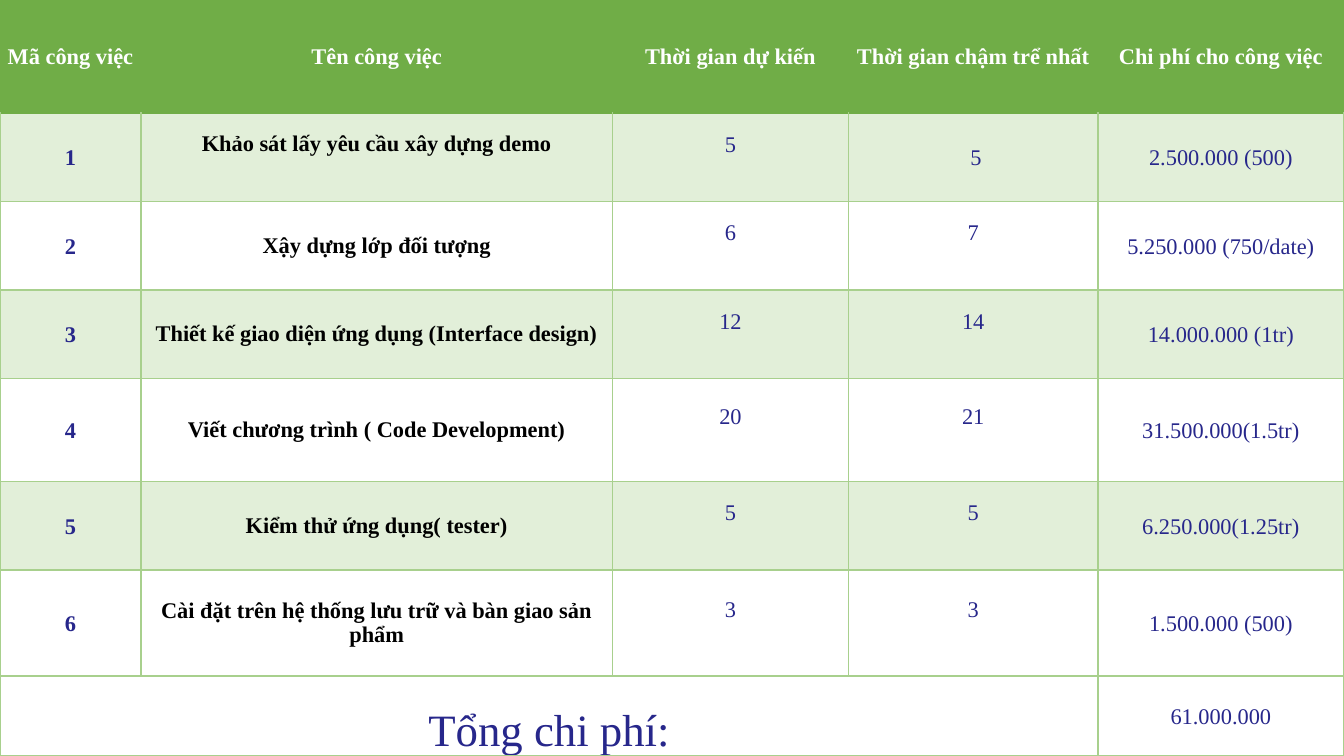
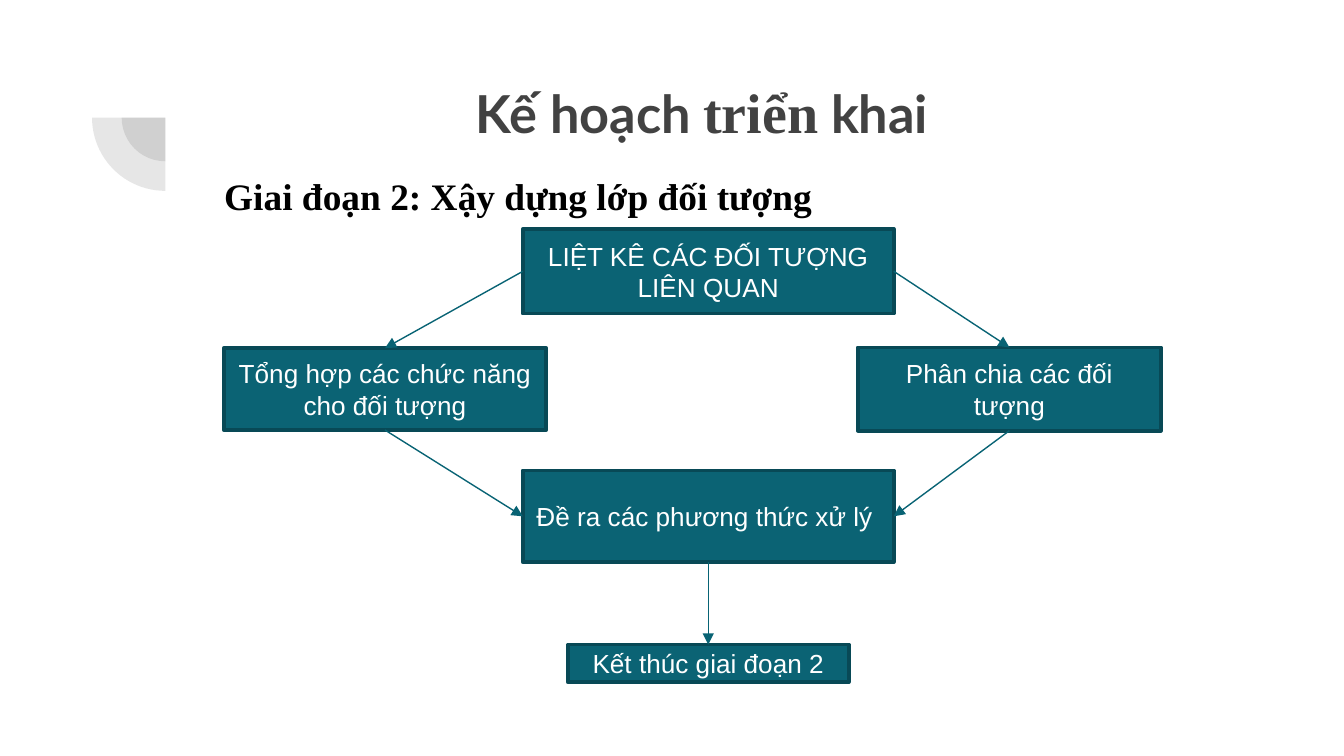
"""Build two project-plan slides: the cost table and the flow of stage 2."""

from dataclasses import dataclass

from lxml.etree import SubElement
from pptx import Presentation
from pptx.dml.color import RGBColor
from pptx.enum.shapes import MSO_CONNECTOR, MSO_SHAPE
from pptx.enum.text import MSO_ANCHOR, MSO_AUTO_SIZE, PP_ALIGN
from pptx.oxml import parse_xml
from pptx.oxml.ns import nsdecls, qn
from pptx.util import Inches, Pt


@dataclass(frozen=True)
class Theme:
    serif: str = "Times New Roman"
    sans: str = "Arial"
    heading: str = "Lato"
    gray: str = "424242"
    black: str = "000000"
    white: str = "FFFFFF"
    navy: str = "27278B"
    green: str = "70AD47"
    pale_green: str = "E2EFD9"
    border_green: str = "A8D08D"
    teal: str = "0B6374"
    dark_teal: str = "084956"
    arrow_teal: str = "086374"
    title_size: int = 28
    title_accent_size: int = 30
    total_size: int = 24
    subtitle_size: int = 20
    box_size: int = 14
    table_size: int = 12


theme = Theme()


def add_text(para, text, *, size, font, color, bold=False,
             align=PP_ALIGN.CENTER, spacing=None):
    para.alignment = align
    if spacing:
        para.line_spacing = spacing
    span = para.add_run()
    span.text = text
    span.font.size = Pt(size)
    span.font.name = font
    span.font.bold = bold
    span.font.color.rgb = RGBColor.from_string(color)


deck = Presentation()
deck.slide_width = Inches(10)
deck.slide_height = deck.slide_width * 9 // 16
unit = deck.slide_width / 100


def on_grid(*cells):
    return [round(cell * unit) for cell in cells]


pages = [deck.slides.add_slide(deck.slide_layouts[6]) for number in range(2)]
table_page, flow_page = pages

for page in pages:
    for radius in (3.25, 5.45):
        wedge = page.shapes.add_shape(
            MSO_SHAPE.PIE,
            *on_grid(12.3 - radius, 8.75 - radius, 2 * radius, 2 * radius))
        wedge.rotation = 270
        wedge.adjustments[0] = 108
        wedge.adjustments[1] = 162
        wedge.shadow.inherit = False
        wedge.line.fill.background()
        wedge.fill.solid()
        wedge.fill.fore_color.rgb = RGBColor.from_string(theme.gray)
        tint = wedge.fill._xPr.find(".//" + qn("a:srgbClr"))
        SubElement(tint, qn("a:alpha"), val="13000")

column_widths = (10.5, 35.07, 17.57, 18.56, 18.3)
row_heights = (8.4, 6.6, 6.58, 6.58, 7.68, 6.58, 7.88, 5.9)
rows = [
    ("Mã công việc", "Tên công việc", "Thời gian dự kiến",
     "Thời gian chậm trể nhất", "Chi phí cho công việc"),
    ("1", "Khảo sát lấy yêu cầu xây dựng demo", "5", "5", "2.500.000 (500)"),
    ("2", "Xậy dựng lớp đối tượng", "6", "7", "5.250.000 (750/date)"),
    ("3", "Thiết kế giao diện ứng dụng (Interface design)", "12", "14",
     "14.000.000 (1tr)"),
    ("4", "Viết chương trình ( Code Development)", "20", "21",
     "31.500.000(1.5tr)"),
    ("5", "Kiểm thử ứng dụng( tester)", "5", "5", "6.250.000(1.25tr)"),
    ("6", "Cài đặt trên hệ thống lưu trữ và bàn giao sản phẩm", "3", "3",
     "1.500.000 (500)"),
    ("Tổng chi phí:", "", "", "", "61.000.000"),
]
total_row = len(rows) - 1
raised_cells = {(row, 2) for row in range(1, total_row)}
raised_cells |= {(row, 3) for row in range(2, total_row)} | {(1, 1)}

table = table_page.shapes.add_table(
    len(rows), len(column_widths),
    *on_grid(0, 0, sum(column_widths), sum(row_heights))).table
table.first_row = False
table.horz_banding = False
for column, width in zip(table.columns, on_grid(*column_widths)):
    column.width = width
for row, height in zip(table.rows, on_grid(*row_heights)):
    row.height = height
table.cell(total_row, 0).merge(table.cell(total_row, 3))

for row_index, texts in enumerate(rows):
    header = row_index == 0
    for column_index, text in enumerate(texts):
        cell = table.cell(row_index, column_index)
        cell.vertical_anchor = MSO_ANCHOR.MIDDLE
        cell.margin_left = cell.margin_right = Inches(0.04)
        cell.margin_top = cell.margin_bottom = 0
        if (row_index, column_index) in raised_cells:
            cell.margin_bottom = Inches(0.2)
        if (row_index, column_index) == (1, 3):
            cell.margin_left = Inches(0.08)
        if header or (row_index % 2 and row_index < total_row):
            cell.fill.solid()
            cell.fill.fore_color.rgb = RGBColor.from_string(
                theme.green if header else theme.pale_green)
        else:
            cell.fill.background()
        for position, side in enumerate(("lnL", "lnR", "lnT", "lnB")):
            edge = header or (row_index == 1 and side == "lnT")
            color = theme.green if edge else theme.border_green
            cell._tc.get_or_add_tcPr().insert(position, parse_xml(
                f'<a:{side} {nsdecls("a")} w="12700"><a:solidFill>'
                f'<a:srgbClr val="{color}"/></a:solidFill></a:{side}>'))
        if not text:
            continue
        total_label = row_index == total_row and column_index == 0
        if total_label:
            cell.margin_top = Inches(0.2)
        task_name = column_index == 1 and not header
        color = theme.black if task_name else theme.navy
        add_text(cell.text_frame.paragraphs[0], text,
                 size=theme.total_size if total_label else theme.table_size,
                 font=theme.serif,
                 color=theme.white if header else color,
                 bold=header or (column_index < 2 and not total_label),
                 spacing=None if task_name else 1.07)

title = flow_page.shapes.add_textbox(*on_grid(14.3, 4.8, 76.8, 5.5)).text_frame
title.word_wrap = True
title.margin_top = title.margin_bottom = Inches(0.1)
for text, size, font in (
        ("Kế hoạch ", theme.title_size, theme.heading),
        ("triển", theme.title_accent_size, theme.serif),
        (" khai ", theme.title_size, theme.heading)):
    add_text(title.paragraphs[0], text, size=size, font=font,
             color=theme.gray, bold=True)

subtitle = flow_page.shapes.add_textbox(
    *on_grid(15.7, 12.4, 70.7, 4.4)).text_frame
subtitle.word_wrap = True
subtitle.auto_size = MSO_AUTO_SIZE.SHAPE_TO_FIT_TEXT
add_text(subtitle.paragraphs[0], "Giai đoạn 2: Xậy dựng lớp đối tượng",
         size=theme.subtitle_size, font=theme.serif, color=theme.black,
         bold=True, align=PP_ALIGN.LEFT)

steps = {
    "list": ("LIỆT KÊ CÁC ĐỐI TƯỢNG LIÊN QUAN", 38.9, 17.04, 27.6, 6.3),
    "divide": ("Phân chia các đối tượng", 63.83, 25.85, 22.55, 6.2),
    "gather": ("Tổng hợp các chức năng cho đối tượng", 16.65, 25.9, 24, 6.1),
    "methods": ("Đề ra các phương thức xử lý ", 38.9, 35, 27.6, 6.84),
    "finish": ("Kết thúc giai đoạn 2", 42.25, 47.96, 20.9, 2.8),
}
boxes = {}
for name, (text, *place) in steps.items():
    box = flow_page.shapes.add_shape(MSO_SHAPE.RECTANGLE, *on_grid(*place))
    box.shadow.inherit = False
    box.fill.solid()
    box.fill.fore_color.rgb = RGBColor.from_string(theme.teal)
    box.line.color.rgb = RGBColor.from_string(theme.dark_teal)
    box.line.width = Pt(2)
    box.text_frame.word_wrap = True
    box.text_frame.vertical_anchor = MSO_ANCHOR.MIDDLE
    add_text(box.text_frame.paragraphs[0], text, size=theme.box_size,
             font=theme.sans, color=theme.white)
    boxes[name] = box

top, left, bottom, right = range(4)
for start, start_side, end, end_side in (
        ("list", left, "gather", top),
        ("list", right, "divide", top),
        ("gather", bottom, "methods", left),
        ("divide", bottom, "methods", right),
        ("methods", bottom, "finish", top)):
    arrow = flow_page.shapes.add_connector(MSO_CONNECTOR.STRAIGHT, 0, 0, 0, 0)
    arrow.begin_connect(boxes[start], start_side)
    arrow.end_connect(boxes[end], end_side)
    arrow.line.color.rgb = RGBColor.from_string(theme.arrow_teal)
    arrow.line.width = Pt(0.75)
    SubElement(arrow.line._get_or_add_ln(), qn("a:tailEnd"), type="triangle")
    SubElement(arrow._element.spPr, qn("a:effectLst"))

deck.save("out.pptx")
